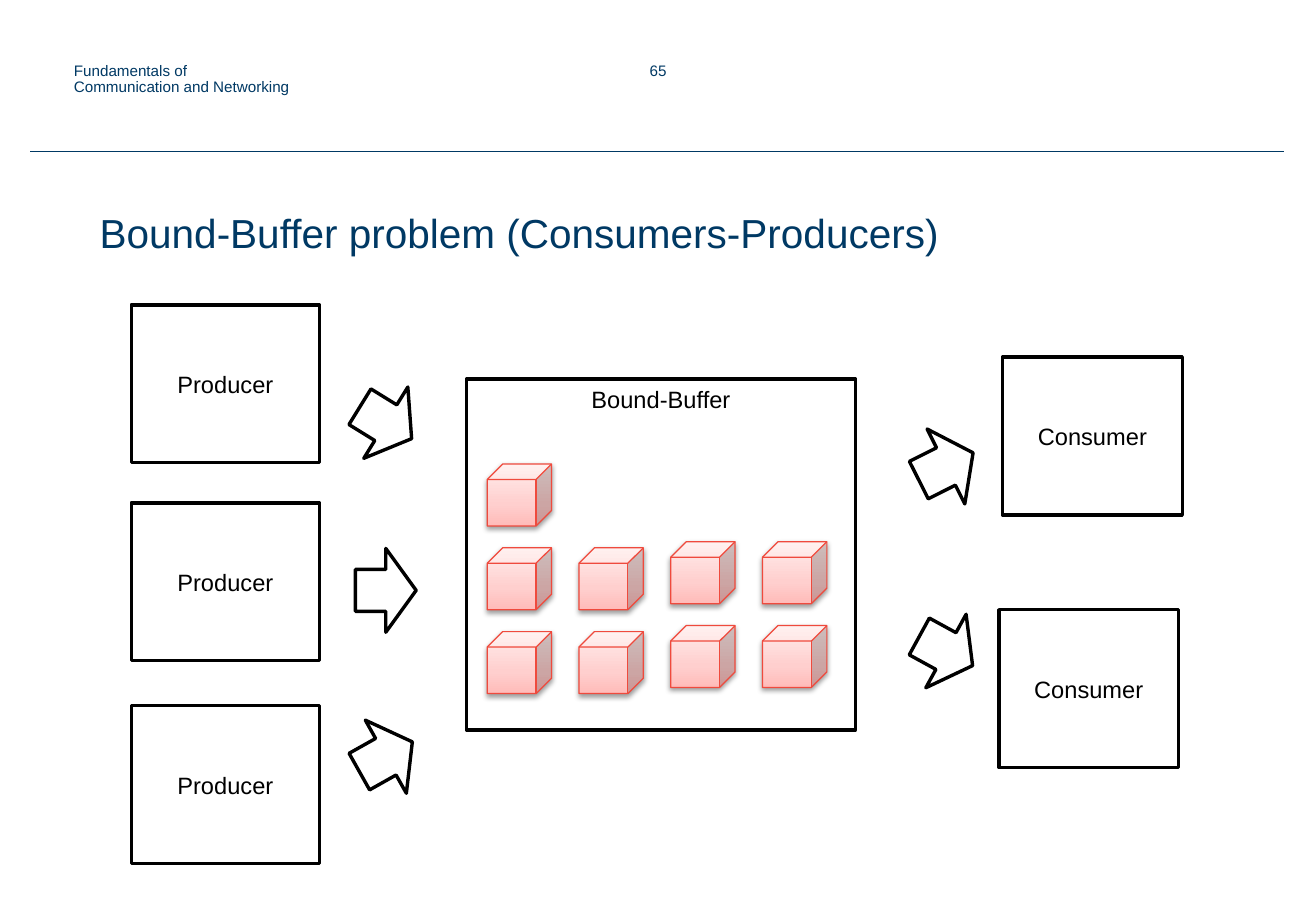
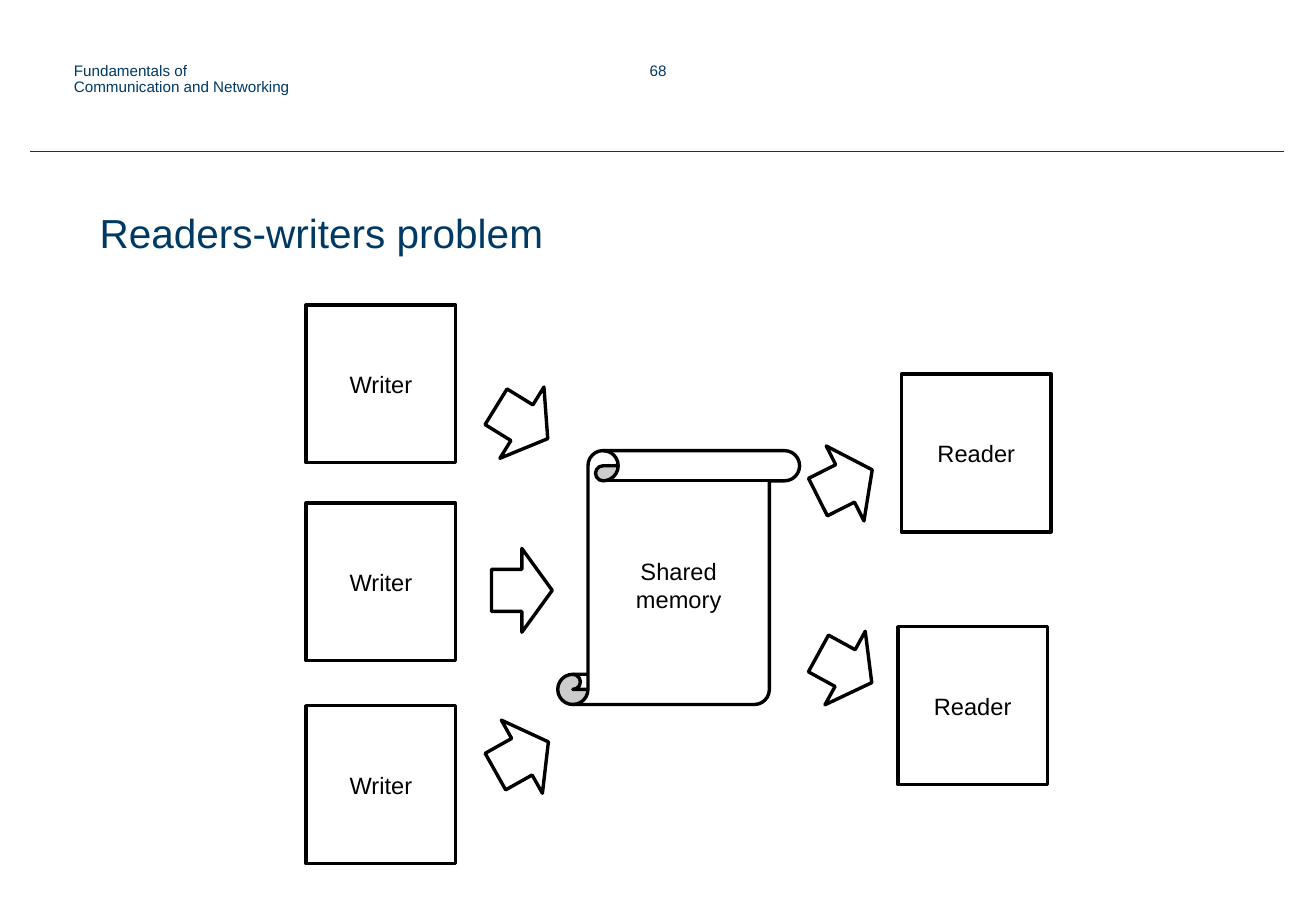
import pptx
import pptx.util
import pptx.oxml
import pptx.oxml.ns
import pptx.dml.color
import pptx.enum.shapes
import pptx.enum.text

Inches = pptx.util.Inches
Pt = pptx.util.Pt
RGB = pptx.dml.color.RGBColor
KIND = pptx.enum.shapes.MSO_SHAPE
ALIGN = pptx.enum.text.PP_ALIGN
ANCHOR = pptx.enum.text.MSO_ANCHOR
FIT = pptx.enum.text.MSO_AUTO_SIZE

NAVY = RGB(0x00, 0x39, 0x64)
BLACK = RGB(0x00, 0x00, 0x00)
WHITE = RGB(0xFF, 0xFF, 0xFF)
RED = RGB(0xEF, 0x4A, 0x3D)
PINKS = [(0, RGB(0xFF, 0xBB, 0xB9)), (35, RGB(0xFF, 0xCF, 0xCE)),
         (100, RGB(0xFF, 0xED, 0xEC))]
FONT = "Arial"

# Text styles, one dict of values per object
HEAD = {"font": {"name": FONT, "size": Pt(9)}, "color": NAVY,
        "para": {"line_spacing": 0.9}, "frame": {}}
PAGE = {**HEAD, "para": {"alignment": ALIGN.CENTER}}
TITLE = {"font": {"name": FONT, "size": Pt(24)}, "color": NAVY,
         "para": {"alignment": ALIGN.LEFT, "line_spacing": 0.9,
                  "space_before": Pt(0)},
         "frame": {"margin_left": Inches(0.35)}}
LABEL = {"font": {"name": FONT, "size": Pt(14)}, "color": BLACK,
         "para": {"alignment": ALIGN.CENTER},
         "frame": {"vertical_anchor": ANCHOR.MIDDLE}}
TOP = {**LABEL, "frame": {"vertical_anchor": ANCHOR.TOP}}
FRAME = {"word_wrap": True, "auto_size": FIT.NONE,
         "vertical_anchor": ANCHOR.TOP}

# Left column: (dx, dy) of boxes; dy and angle of arrows
INS = [(0, 0), (0, 1.63), (0, 3.3)]
IN_ROWS = [(0.72, 301.7), (2.1, 270), (3.47, 240.7)]
# Right column
OUTS = [(0, 0), (-0.03, 2.08)]
OUT_ROWS = [(0.65, 243.3), (2.17, 298.7)]


def assign(thing, values):
    for name, value in values.items():
        setattr(thing, name, value)


def inch(*sizes):
    return [Inches(size) for size in sizes]


def write(shape, text, style):
    frame = shape.text_frame
    assign(frame, {**FRAME, **style["frame"]})
    frame.text = text
    para = frame.paragraphs[0]
    assign(para, style["para"])
    assign(para.font, style["font"])
    para.font.color.rgb = style["color"]


def draw(slide, kind, box, text="", style=LABEL, turn=0):
    """Black outlined white shape with an optional label."""
    shape = slide.shapes.add_shape(kind, *inch(*box))
    shape.shadow.inherit = False
    shape.rotation = turn
    shape.fill.solid()
    shape.fill.fore_color.rgb = WHITE
    shape.line.color.rgb = BLACK
    shape.line.width = Pt(2)
    if text:
        write(shape, text, style)


def cube(slide, box):
    shape = slide.shapes.add_shape(KIND.CUBE, *inch(*box))
    ns = pptx.oxml.ns.nsdecls("a")
    stops = "".join(
        f'<a:gs pos="{pos * 1000}"><a:srgbClr val="{tint}"/></a:gs>'
        for pos, tint in PINKS)
    props = shape.element.spPr
    props.append(pptx.oxml.parse_xml(
        f'<a:gradFill {ns} rotWithShape="1"><a:gsLst>{stops}</a:gsLst>'
        '<a:lin ang="16200000" scaled="0"/></a:gradFill>'))
    shape.line.color.rgb = RED
    shape.line.width = Pt(0.75)
    props.append(pptx.oxml.parse_xml(
        f'<a:effectLst {ns}><a:outerShdw blurRad="{Pt(3.1)}" '
        f'dist="{Pt(1.6)}" dir="5400000" rotWithShape="0">'
        f'<a:srgbClr val="{BLACK}"><a:alpha val="38000"/></a:srgbClr>'
        '</a:outerShdw></a:effectLst>'))


def start(deck, title, page):
    """Slide with header, page number, rule and title."""
    slide = deck.slides.add_slide(deck.slide_layouts[5])
    rule = slide.shapes.add_connector(
        pptx.enum.shapes.MSO_CONNECTOR.STRAIGHT,
        *inch(0.25, 1.25, 10.57, 1.25))
    rule.line.color.rgb = NAVY
    rule.line.width = Pt(0.75)
    rule.element.spPr.append(pptx.oxml.parse_xml(
        f'<a:effectLst {pptx.oxml.ns.nsdecls("a")}/>'))
    for box, text, style in [
            ((4.49, 0.46, 1.85, 0.4), page, PAGE),
            ((0.51, 0.47, 2.01, 0.4),
             "Fundamentals of Communication and Networking", HEAD)]:
        write(slide.shapes.add_textbox(*inch(*box)), text, style)
    head = slide.shapes.title
    place = inch(0.47, 1.71, 7.44, 0.6)
    assign(head, dict(zip(("left", "top", "width", "height"), place)))
    write(head, title, TITLE)
    return slide


def peers(slide, left, top, width, text, spots, gap, rows):
    """Column of boxes with arrows starting at gap from its left edge."""
    for dx, dy in spots:
        draw(slide, KIND.RECTANGLE, (left + dx, top + dy, width, 1.3), text)
    for dy, turn in rows:
        draw(slide, KIND.DOWN_ARROW, (left + gap, top + dy, 0.69, 0.5),
             turn=turn)


def sides(slide, sources, sinks):
    """Incoming column on the left, outgoing column on the right."""
    left, top, width, text = sources
    peers(slide, left, top, width, text, INS, width + 0.2, IN_ROWS)
    peers(slide, *sinks, OUTS, -0.81, OUT_ROWS)


def buffer(slide, left, top, width, height):
    """Labelled buffer filled with nine items, four to a row from below."""
    draw(slide, KIND.RECTANGLE, (left, top, width, height),
         "Bound-Buffer", TOP)
    for item in range(9):
        row, col = divmod(item, 4)
        lift = 0.05 if col > 1 else 0
        cube(slide, (left + 0.17 + 0.755 * col,
                     top + 2.08 - 0.69 * row - lift, 0.53, 0.51))


def main():
    deck = pptx.Presentation()
    deck.slide_width, deck.slide_height = inch(10.83, 7.5)

    # Producers and consumers
    slide = start(deck, "Bound-Buffer problem (Consumers-Producers)", "65")
    buffer(slide, 3.84, 3.12, 3.2, 2.89)
    sides(slide, (1.08, 2.51, 1.55, "Producer"),
          (8.25, 2.94, 1.48, "Consumer"))

    # Readers and writers
    slide = start(deck, "Readers-writers problem", "68")
    draw(slide, KIND.VERTICAL_SCROLL, (4.59, 3.71, 1.99, 2.09),
         "Shared memory")
    sides(slide, (2.52, 2.51, 1.23, "Writer"),
          (7.42, 3.08, 1.23, "Reader"))

    deck.save("out.pptx")


if __name__ == "__main__":
    main()
